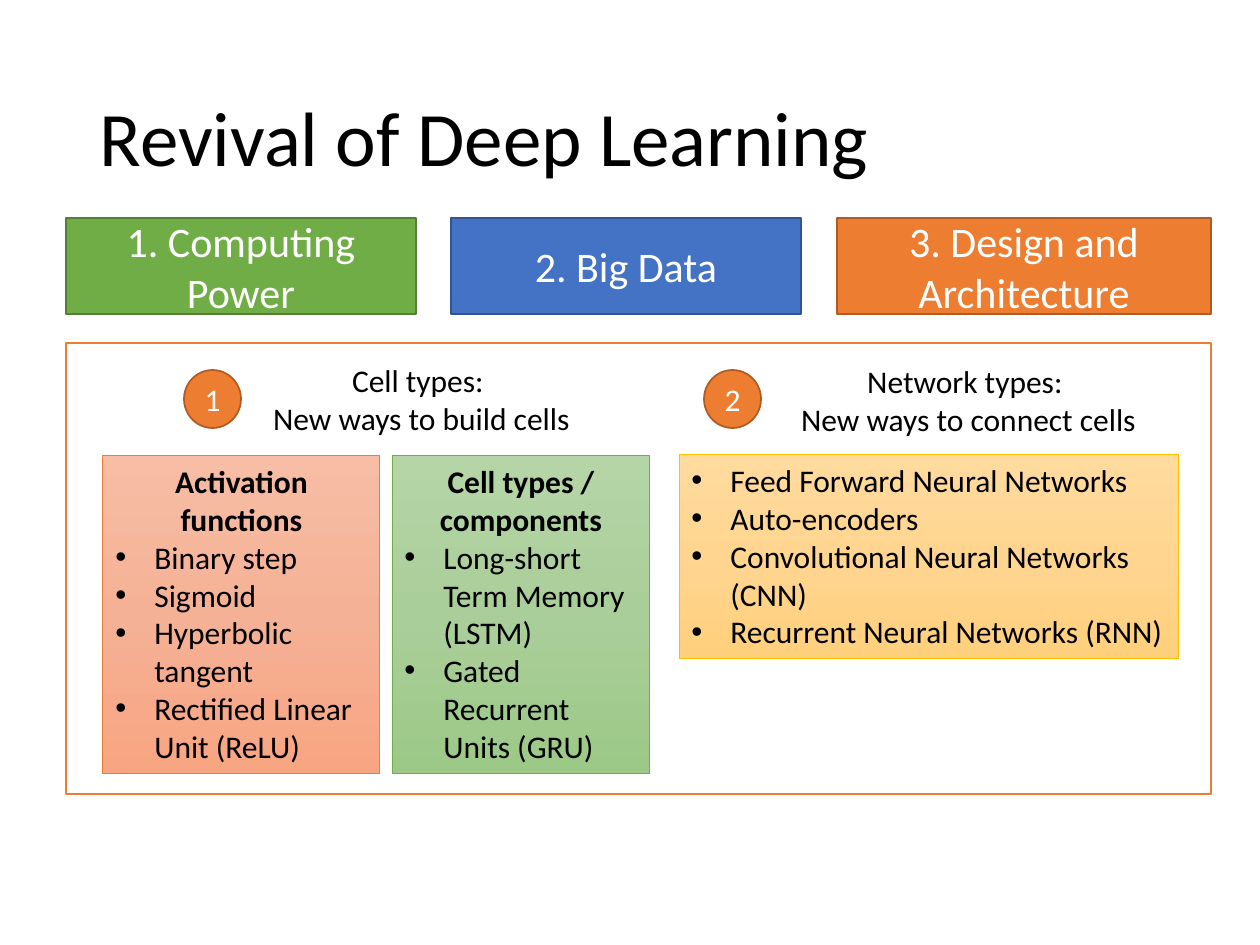
from copy import deepcopy
from dataclasses import dataclass

from lxml import etree
from pptx import Presentation
from pptx import util as u
from pptx.dml.color import RGBColor
from pptx.enum import shapes, text
from pptx.oxml.ns import qn

EMU_PER_PX = 914400 / 126


@dataclass(frozen=True)
class Theme:
    font: str = "Calibri"
    ink: str = "000000"
    paper: str = "FFFFFF"
    green: tuple = ("70AD47", "538035")
    blue: tuple = ("4472C4", "325491")
    orange: tuple = ("ED7D31", "AF5C24")
    gold: str = "FFC000"
    peach_fade: tuple = ("F7BDA5", "F5B196", "F8A582")
    green_fade: tuple = ("B5D5A7", "AACE9A", "9CC987")
    gold_fade: tuple = ("FFDB9E", "FFD590", "FFD07C")
    title: int = 44
    header: int = 24
    body: int = 18


T = Theme()


def px(n):
    return u.Emu(round(n * EMU_PER_PX))


def box(*lengths):
    return [px(n) for n in lengths]


def rgb(value):
    return RGBColor.from_string(value)


def add_run(p, words, size, color=T.ink, bold=False):
    r = p.add_run()
    r.text = words
    r.font.name = T.font
    r.font.size = u.Pt(size)
    r.font.bold = bold
    r.font.color.rgb = rgb(color)


def next_paragraph(tf, first):
    return tf.paragraphs[0] if first else tf.add_paragraph()


def add_bullet(p):
    pPr = p._p.get_or_add_pPr()
    pPr.set("marL", str(px(39)))
    pPr.set("indent", str(-px(39)))
    etree.SubElement(pPr, qn("a:buFont")).set("typeface", "Arial")
    etree.SubElement(pPr, qn("a:buChar")).set("char", "•")


def add_title(s, words):
    title = s.shapes.title
    title.left, title.top, title.width, title.height = box(87, 50, 1086, 183)
    tf = title.text_frame
    tf.word_wrap = True
    tf.vertical_anchor = text.MSO_ANCHOR.MIDDLE
    p = tf.paragraphs[0]
    p.alignment = text.PP_ALIGN.LEFT
    p.line_spacing = 0.9
    add_run(p, words, T.title)


def add_panel(s, kind, at, fill, line, width=1):
    sp = s.shapes.add_shape(kind, *box(*at))
    sp.shadow.inherit = False
    sp.fill.solid()
    sp.fill.fore_color.rgb = rgb(fill)
    sp.line.color.rgb = rgb(line)
    sp.line.width = u.Pt(width)
    return sp


def add_badge(s, kind, at, words, size, colors):
    sp = add_panel(s, kind, at, *colors)
    tf = sp.text_frame
    tf.word_wrap = True
    tf.vertical_anchor = text.MSO_ANCHOR.MIDDLE
    p = tf.paragraphs[0]
    p.alignment = text.PP_ALIGN.CENTER
    add_run(p, words, size, T.paper)


def add_label(s, at, lines):
    tf = s.shapes.add_textbox(*box(*at)).text_frame
    tf.word_wrap = True
    tf.auto_size = text.MSO_AUTO_SIZE.SHAPE_TO_FIT_TEXT
    for i, line in enumerate(lines):
        p = next_paragraph(tf, i == 0)
        p.alignment = text.PP_ALIGN.CENTER
        add_run(p, line, T.body)


def fade(sp, colors):
    sp.fill.gradient()
    sp.fill.gradient_angle = 270
    stops = sp._element.spPr.find(qn("a:gradFill")).find(qn("a:gsLst"))
    stops.insert(1, deepcopy(stops[0]))
    for i, (stop, color) in enumerate(zip(sp.fill.gradient_stops, colors)):
        stop.position = i / 2
        stop.color.rgb = rgb(color)


def add_card(s, at, colors, line, items, heading=None):
    sp = add_panel(s, shapes.MSO_SHAPE.RECTANGLE, at, colors[0], line, 0.5)
    fade(sp, colors)
    tf = sp.text_frame
    tf.word_wrap = True
    tf.auto_size = text.MSO_AUTO_SIZE.SHAPE_TO_FIT_TEXT
    tf.vertical_anchor = text.MSO_ANCHOR.TOP
    if heading:
        p = tf.paragraphs[0]
        p.alignment = text.PP_ALIGN.CENTER
        add_run(p, heading, T.body, bold=True)
    for i, item in enumerate(items):
        p = next_paragraph(tf, i == 0 and not heading)
        p.alignment = text.PP_ALIGN.LEFT
        add_bullet(p)
        add_run(p, item, T.body)


def main():
    prs = Presentation()
    prs.slide_width, prs.slide_height = box(1260, 945)
    s = prs.slides.add_slide(prs.slide_layouts.get_by_name("Title Only"))
    rect, oval = shapes.MSO_SHAPE.RECTANGLE, shapes.MSO_SHAPE.OVAL

    add_panel(s, rect, (66, 343, 1145, 451), T.paper, T.orange[0])
    add_title(s, "Revival of Deep Learning")

    for x, w, words, colors in (
        (66, 350, "1. Computing Power", T.green),
        (451, 350, "2. Big Data", T.blue),
        (837, 374, "3. Design and Architecture", T.orange),
    ):
        add_badge(s, rect, (x, 218, w, 96), words, T.header, colors)

    add_label(s, (257, 355, 329, 89), ("Cell types: ", "New ways to build cells"))
    add_label(s, (782, 356, 373, 89), ("Network types: ", "New ways to connect cells"))
    for x, number in ((184, "1"), (704, "2")):
        add_badge(s, oval, (x, 370, 57, 58), number, T.body, T.orange)

    add_card(s, (679, 455, 499, 204), T.gold_fade, T.gold, (
        "Feed Forward Neural Networks",
        "Auto-encoders",
        "Convolutional Neural Networks (CNN)",
        "Recurrent Neural Networks (RNN)",
    ))
    add_card(s, (392, 456, 258, 318), T.green_fade, T.green[0], (
        "Long-short Term Memory (LSTM)",
        "Gated Recurrent Units (GRU)",
    ), "Cell types / components")
    add_card(s, (103, 456, 277, 318), T.peach_fade, T.orange[0], (
        "Binary step",
        "Sigmoid",
        "Hyperbolic tangent",
        "Rectified Linear Unit (ReLU)",
    ), "Activation functions")

    prs.save("out.pptx")


if __name__ == "__main__":
    main()
